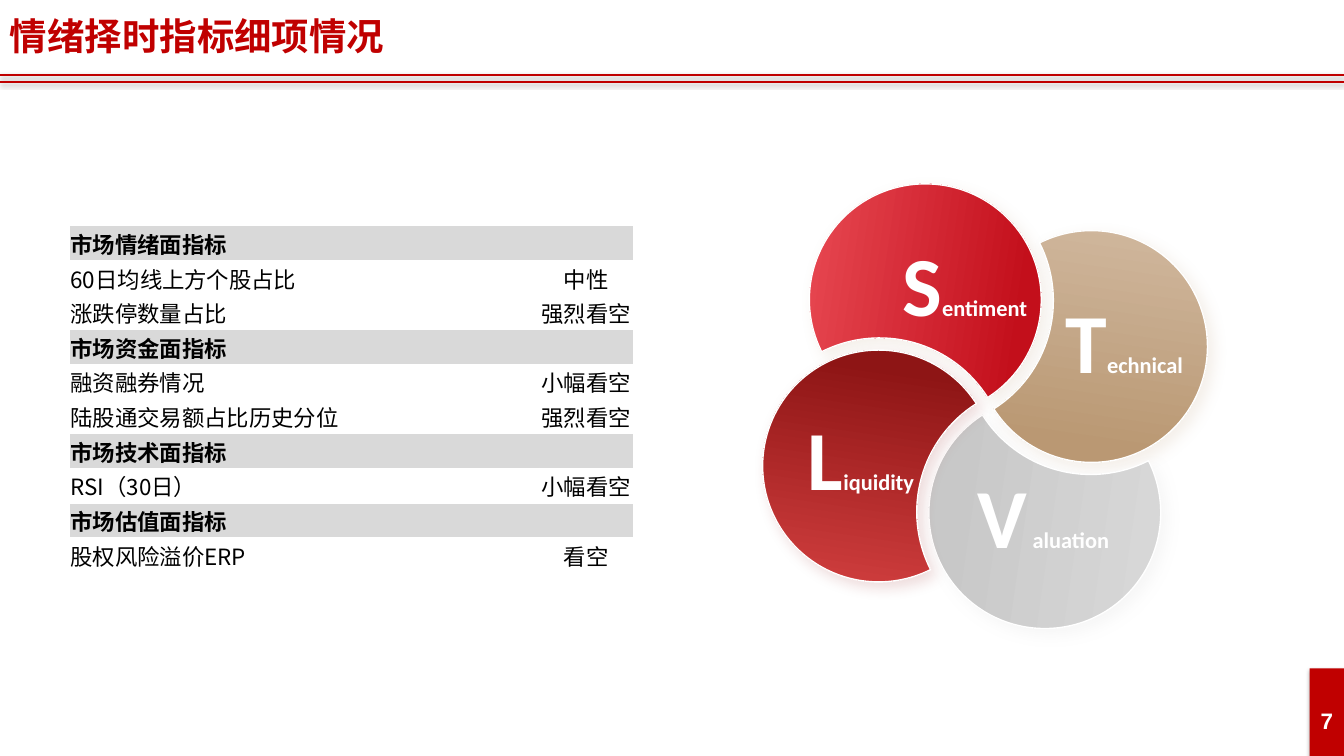
from math import acos, atan2, cos, hypot, pi, sin, tan

from lxml.etree import SubElement
from pptx import Presentation
from pptx.dml.color import RGBColor
from pptx.enum.shapes import MSO_CONNECTOR as CONN, MSO_SHAPE as SHAPE
from pptx.enum.text import MSO_ANCHOR as ANCHOR, PP_ALIGN as ALIGN
from pptx.oxml.ns import qn
from pptx.util import Inches, Pt

COLORS = {
    "red": "C00000", "white": "FFFFFF", "black": "000000", "band": "D9D9D9",
    "rose": "F25862", "crimson": "C30F1B", "sand": "D6C1AB", "tan": "BA9873",
    "mist": "DEDEDE", "silver": "C8C8C8", "coral": "E44A4A", "maroon": "8E1515",
}
CJK = "Noto Sans CJK SC"
HUB_X, HUB_Y = 9.77, 4.03
OFFSET_X, OFFSET_Y = -0.57, -1.16
PETAL_W, PETAL_H = 2.44, 2.48
PETAL_CENTER, BITE_CENTER = (1.14, 1.31), (-0.21, 2.36)
RADIUS, BITE = 1.15, 1.27
LABEL_W = 1.6

INDICATORS = [
    ("市场情绪面指标", None),
    ("60日均线上方个股占比", "中性"),
    ("涨跌停数量占比", "强烈看空"),
    ("市场资金面指标", None),
    ("融资融券情况", "小幅看空"),
    ("陆股通交易额占比历史分位", "强烈看空"),
    ("市场技术面指标", None),
    ("RSI（30日）", "小幅看空"),
    ("市场估值面指标", None),
    ("股权风险溢价ERP", "看空"),
]
PETALS = [
    ("S", "entiment", "rose", "crimson", "tan", 9.57, 2.37),
    ("T", "echnical", "sand", "tan", "tan", 11.15, 2.94),
    ("V", " aluation", "mist", "silver", "silver", 10.35, 4.67),
    ("L", "iquidity", "coral", "maroon", "maroon", 8.54, 4.1),
]


def rgb(name):
    return RGBColor.from_string(COLORS[name])


def add_run(p, text, size, color, font="Arial", bold=True):
    r = p.add_run()
    r.text = text
    for key, value in {"size": Pt(size), "bold": bold, "name": font}.items():
        setattr(r.font, key, value)
    r.font.color.rgb = rgb(color)
    SubElement(r._r.get_or_add_rPr(), qn("a:ea"), typeface=CJK)


def add_text(s, box, runs, align, spacing=None, side=0.1):
    tf = s.shapes.add_textbox(*map(Inches, box)).text_frame
    margins = {"margin_left": side, "margin_right": side,
               "margin_top": 0.05, "margin_bottom": 0.05}
    for key, value in margins.items():
        setattr(tf, key, Inches(value))
    tf.word_wrap = True
    p = tf.paragraphs[0]
    p.alignment = align
    if spacing:
        p.line_spacing = spacing
    for run in runs:
        add_run(p, *run)


def add_shadow(shape, color, alpha, blur, dist, angle):
    sp_pr = shape._element.spPr
    for old in sp_pr.findall(qn("a:effectLst")):
        sp_pr.remove(old)
    effects = SubElement(sp_pr, qn("a:effectLst"))
    outer = SubElement(effects, qn("a:outerShdw"), blurRad=str(Pt(blur)),
                       dist=str(Pt(dist)), dir=str(angle * 60000),
                       algn="ctr", rotWithShape="0")
    clr = SubElement(outer, qn("a:srgbClr"), val=COLORS[color])
    SubElement(clr, qn("a:alpha"), val=str(alpha * 1000))


def add_rule(s, y):
    line = s.shapes.add_connector(CONN.STRAIGHT, 0, Inches(y), Inches(13.33), Inches(y))
    line.line.color.rgb = rgb("red")
    line.line.width = Pt(1.5)
    add_shadow(line, "black", 35, 3, 1.8, 90)


def add_page_tab(s):
    tab = s.shapes.add_shape(SHAPE.RECTANGLE, *map(Inches, (12.99, 6.63, 0.34, 0.87)))
    tab.fill.solid()
    tab.fill.fore_color.rgb = rgb("red")
    tab.line.fill.background()
    add_shadow(tab, "black", 35, 3, 1.8, 90)
    add_text(s, (12.97, 6.97, 0.38, 0.37), [("7", 16, "white")], ALIGN.CENTER, side=0.05)


def fill_cell(cell, text, heading, align):
    margins = {"margin_left": 0.01, "margin_right": 0.01,
               "margin_top": 0.01, "margin_bottom": 0}
    for key, value in margins.items():
        setattr(cell, key, Inches(value))
    cell.vertical_anchor = ANCHOR.MIDDLE
    if heading:
        cell.fill.solid()
        cell.fill.fore_color.rgb = rgb("band")
    else:
        cell.fill.background()
    if text:
        p = cell.text_frame.paragraphs[0]
        p.alignment = align
        add_run(p, text, 16, "black", CJK, heading)


def add_indicator_table(s):
    box = map(Inches, (0.69, 2.24, 5.59, 3.44))
    table = s.shapes.add_table(len(INDICATORS), 2, *box).table
    table.first_row = table.horz_banding = False
    for col, width in zip(table.columns, (4.66, 0.93)):
        col.width = Inches(width)
    for i, (name, signal) in enumerate(INDICATORS):
        heading = signal is None
        left, right = table.cell(i, 0), table.cell(i, 1)
        fill_cell(left, name, heading, ALIGN.LEFT)
        fill_cell(right, signal, heading, ALIGN.CENTER)
        if heading:
            left.merge(right)


def arc_curves(center, radius, start, end, count):
    step = (end - start) / count
    pull = 4 / 3 * tan(step / 4)

    def at(a, reach):
        return (Inches(center[0] + radius * (cos(a) - reach * sin(a))),
                Inches(center[1] + radius * (sin(a) + reach * cos(a))))

    angles = [start + step * i for i in range(count)]
    return [(at(a, 0), at(a, pull), at(a + step, -pull), at(a + step, 0)) for a in angles]


def petal_curves():
    dx, dy = (b - c for b, c in zip(BITE_CENTER, PETAL_CENTER))
    d, toward = hypot(dx, dy), atan2(dy, dx)
    a = acos((d * d + RADIUS ** 2 - BITE ** 2) / (2 * d * RADIUS))
    b = acos((d * d + BITE ** 2 - RADIUS ** 2) / (2 * d * BITE))
    return (arc_curves(PETAL_CENTER, RADIUS, toward + a, toward + 2 * pi - a, 4)
            + arc_curves(BITE_CENTER, BITE, toward + pi + b, toward + pi - b, 2))


def build_petal(s, x, y):
    curves = petal_curves()
    builder = s.shapes.build_freeform(*curves[0][0])
    builder.add_line_segments([curve[-1] for curve in curves], close=True)
    petal = builder.convert_to_shape()
    outline = next(petal._element.iter(qn("a:path")))
    outline.set("w", str(Inches(PETAL_W)))
    outline.set("h", str(Inches(PETAL_H)))
    start = outline.find(qn("a:moveTo")).find(qn("a:pt"))
    for key, value in zip("xy", curves[0][0]):
        start.set(key, str(value))
    for line, curve in zip(outline.findall(qn("a:lnTo")), curves):
        bezier = SubElement(outline, qn("a:cubicBezTo"))
        for px, py in curve[1:]:
            SubElement(bezier, qn("a:pt"), x=str(px), y=str(py))
        outline.replace(line, bezier)
    frame = {"left": x - PETAL_W / 2, "top": y - PETAL_H / 2,
             "width": PETAL_W, "height": PETAL_H}
    for key, value in frame.items():
        setattr(petal, key, Inches(value))
    return petal


def add_petal(s, quarter, light, dark, shadow):
    x, y = OFFSET_X, OFFSET_Y
    for _ in range(quarter):
        x, y = -y, x
    petal = build_petal(s, HUB_X + x, HUB_Y + y)
    petal.rotation = (323.3 + 90 * quarter) % 360
    petal.fill.gradient()
    petal.fill.gradient_angle = 315
    for stop, color, position in zip(petal.fill.gradient_stops, (light, dark), (0, 0.75)):
        stop.color.rgb = rgb(color)
        stop.position = position
    petal.line.color.rgb = rgb("white")
    petal.line.width = Pt(1)
    add_shadow(petal, shadow, 15, 10, 5, 45)


def main():
    prs = Presentation()
    prs.slide_width, prs.slide_height = Inches(13.33), Inches(7.5)
    s = prs.slides.add_slide(prs.slide_layouts[6])
    for y in (0.74, 0.81):
        add_rule(s, y)
    add_page_tab(s)
    add_text(s, (0, 0.08, 13.26, 0.56), [("情绪择时指标细项情况", 26.7, "red")], ALIGN.LEFT)
    add_indicator_table(s)
    for quarter, (initial, rest, light, dark, shadow, x, y) in enumerate(PETALS):
        add_petal(s, quarter, light, dark, shadow)
        runs = [(initial, 60, "white", "Calibri"), (rest, 16, "white", "Calibri")]
        add_text(s, (x - LABEL_W / 2, y, LABEL_W, 1), runs, ALIGN.CENTER, spacing=0.9)
    prs.save("out.pptx")


if __name__ == "__main__":
    main()
